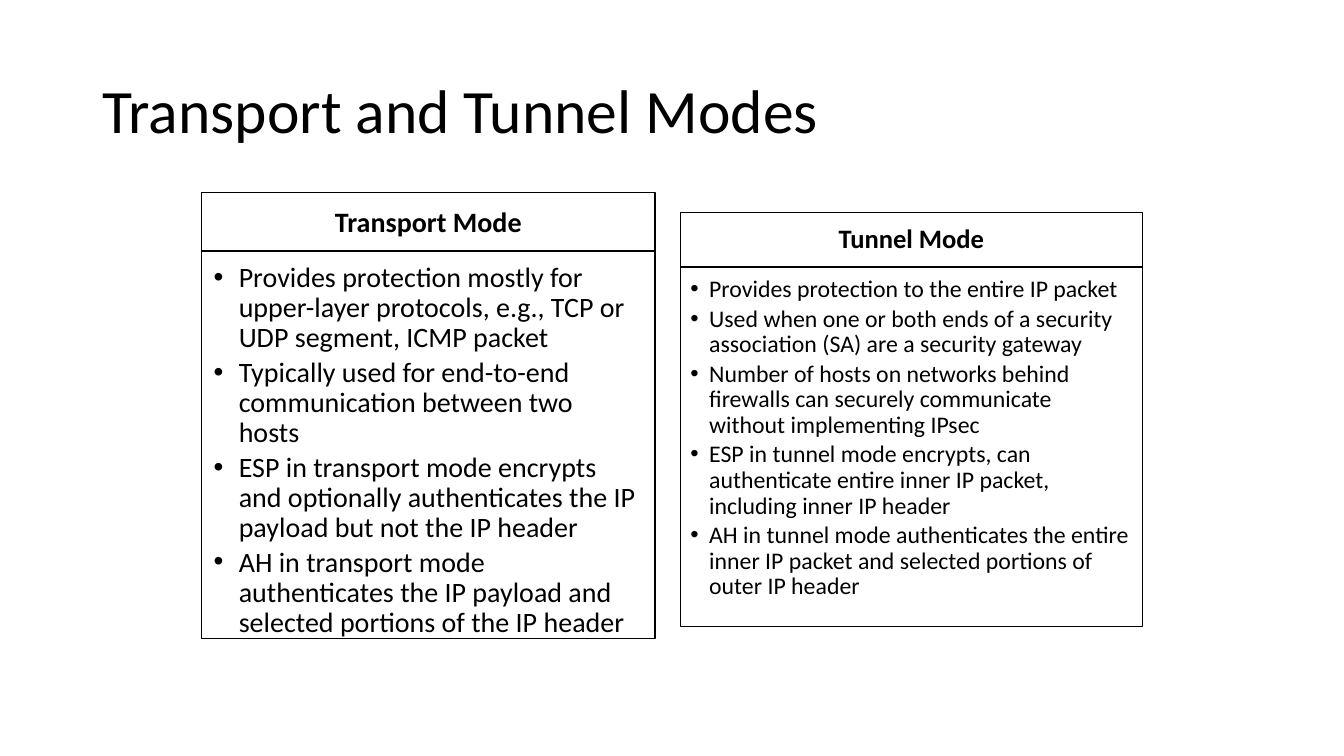
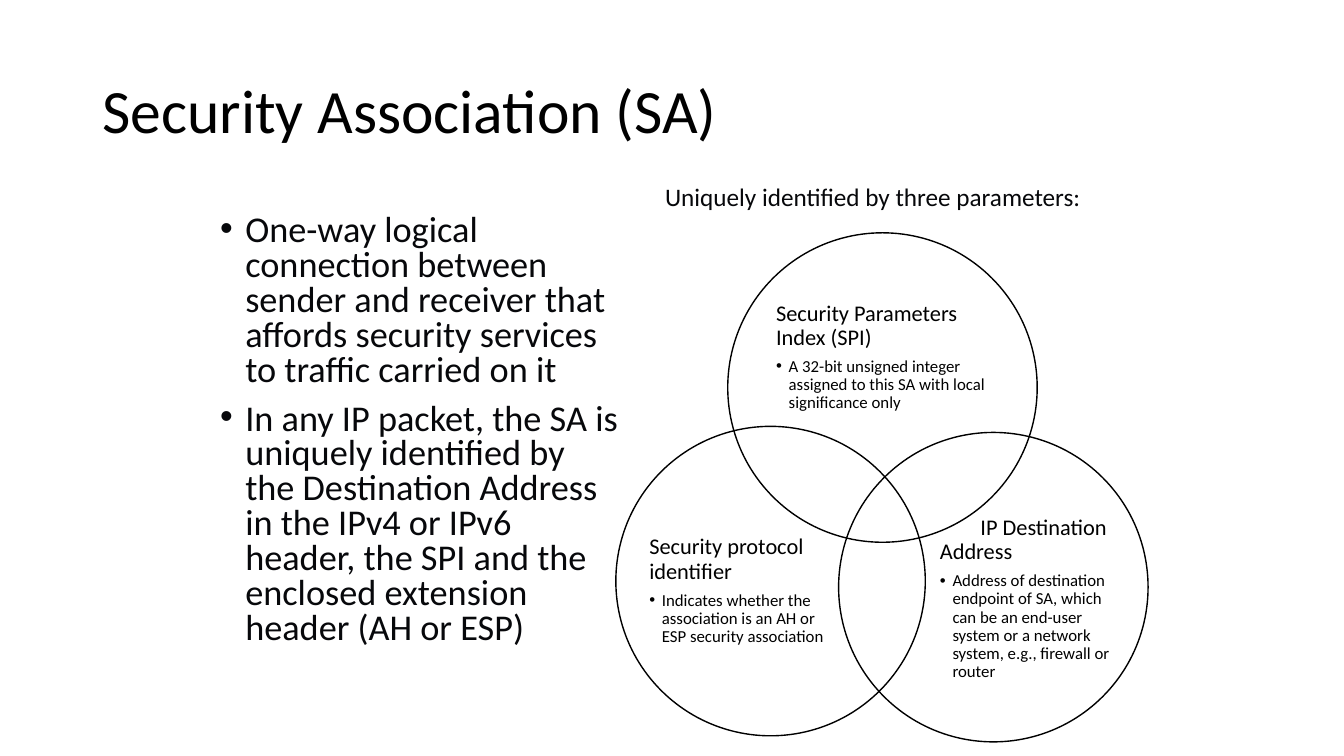
from dataclasses import dataclass
from typing import Optional

from lxml.etree import SubElement
from pptx import Presentation
from pptx.dml.color import RGBColor as Rgb
from pptx.enum.shapes import MSO_SHAPE as Form
from pptx.enum.text import MSO_ANCHOR as Anchor, MSO_AUTO_SIZE as Fit, PP_ALIGN as Align
from pptx.oxml.ns import qn
from pptx.util import Emu, Inches, Pt

COLS, ROWS = 160, 90
WIDE, HIGH = Inches(13.3333), Inches(7.5)


@dataclass(frozen=True)
class Theme:
    font: str = "Calibri"
    black: Rgb = Rgb(0, 0, 0)
    ink: Rgb = Rgb(0x07, 0x08, 0x0B)
    white: Rgb = Rgb(255, 255, 255)
    title: float = 44
    body: float = 25.9
    lead: float = 18
    term: float = 16
    note: float = 12
    rule: float = 1


@dataclass(frozen=True)
class Box:
    """A place on the grid, in columns and rows."""
    col: float
    row: float
    width: float
    height: float

    def emu(self) -> tuple[Emu, ...]:
        x, y = WIDE / COLS, HIGH / ROWS
        return (Emu(round(self.col * x)), Emu(round(self.row * y)),
                Emu(round(self.width * x)), Emu(round(self.height * y)))


@dataclass(frozen=True)
class Panel:
    """A headed list; sizes, insets and indent are in points."""
    name: str
    items: tuple[str, ...]
    head: Box
    list: Box
    name_size: float
    item_size: float
    head_pad: tuple[float, ...]
    list_pad: tuple[float, ...]
    indent: float


@dataclass(frozen=True)
class Ring:
    term: str
    note: str
    col: float
    row: float
    label: Box
    fill: Optional[Rgb] = None
    first: float = 0


THEME = Theme()
TITLE = Box(11, 4.8, 138, 17.4)
BODY = Box(25, 25, 49.8, 56.4)
LEAD = Box(78, 21, 60, 8.5)
RING = 36.84

PANELS = (
    Panel("Transport Mode", (
        "Provides protection mostly for upper-layer protocols, e.g., TCP or UDP segment, ICMP packet",
        "Typically used for end-to-end communication between two hosts",
        "ESP in transport mode encrypts and optionally authenticates the IP payload but not the IP header",
        "AH in transport mode authenticates the IP payload and selected portions of the IP header",
    ), Box(24, 22.9, 54, 7.5), Box(24, 29.9, 54, 46.1), 20, 20,
        (11.5, 6.5, 11.5, 6.5), (8.6, 8.6, 11.5, 12.2), 18),
    Panel("Tunnel Mode", (
        "Provides protection to the entire IP packet",
        "Used when one or both ends of a security association (SA) are a security gateway",
        "Number of hosts on networks behind firewalls can securely communicate without implementing IPsec",
        "ESP in tunnel mode encrypts, can authenticate entire inner IP packet, including inner IP header",
        "AH in tunnel mode authenticates the entire inner IP packet and selected portions of outer IP header",
    ), Box(81, 25.3, 55, 6.5), Box(81, 31.8, 55, 42.8), 19, 17,
        (10.8, 5.8, 10.8, 5.8), (7.2, 7.2, 9.4, 10.8), 13.5),
)

POINTS = (
    "One-way logical connection between sender and receiver that affords security services "
    "to traffic carried on it",
    "In any IP packet, the SA is uniquely identified by the Destination Address in the IPv4 "
    "or IPv6 header, the SPI and the enclosed extension header (AH or ESP)",
)

RINGS = (
    Ring("Security Parameters Index (SPI)",
         "A 32-bit unsigned integer assigned to this SA with local significance only",
         86.64, 27.72, Box(92.4, 34.2, 26.2, 16.6), fill=THEME.white),
    Ring("IP Destination Address",
         "Address of destination endpoint of SA, which can be an end-user system or a network "
         "system, e.g., firewall or router",
         99.84, 51.48, Box(111.9, 61.1, 21.3, 20.3), first=29),
    Ring("Security protocol identifier",
         "Indicates whether the association is an AH or ESP security association",
         73.32, 50.76, Box(77.3, 60.2, 21.6, 20.3)),
)


def place(shape, box: Box) -> None:
    shape.left, shape.top, shape.width, shape.height = box.emu()


def setup(frame, anchor=Anchor.TOP, pad: Optional[tuple[float, ...]] = None) -> None:
    """Set wrap, anchor and insets (left, top, right, bottom in points)."""
    frame.word_wrap = True
    frame.auto_size = Fit.NONE
    frame.vertical_anchor = anchor
    if pad:
        (frame.margin_left, frame.margin_top,
         frame.margin_right, frame.margin_bottom) = map(Pt, pad)


def say(frame, text: str, *, size: float, color: Rgb = THEME.black, bold: bool = False,
        align=Align.LEFT, lines: float = 0.9, before: float = 0, after: float = 0,
        first: float = 0, bullet: float = 0) -> None:
    """Add a paragraph; bullet is the hanging indent in points, 0 for none."""
    para = frame.paragraphs[0]
    if para.runs:
        para = frame.add_paragraph()
    para.alignment, para.line_spacing = align, lines
    para.space_before, para.space_after = Pt(before), Pt(after)
    run = para.add_run()
    run.text = text
    font = run.font
    font.name, font.size, font.bold = THEME.font, Pt(size), bold
    font.color.rgb = color
    props = para._p.get_or_add_pPr()
    props.set("marL", str(Pt(bullet)))
    props.set("indent", str(Pt(first - bullet)))
    if bullet:
        SubElement(props, qn("a:buFont"), typeface="Arial")
        SubElement(props, qn("a:buChar"), char="•")


def draw(slide, form, box: Box, fill: Optional[Rgb] = None):
    shape = slide.shapes.add_shape(form, *box.emu())
    shape.shadow.inherit = False
    if fill is None:
        shape.fill.background()
    else:
        shape.fill.solid()
        shape.fill.fore_color.rgb = fill
    shape.line.color.rgb = THEME.black
    shape.line.width = Pt(THEME.rule)
    return shape


def start(deck, layout: int, title: str):
    slide = deck.slides.add_slide(deck.slide_layouts[layout])
    place(slide.shapes.title, TITLE)
    frame = slide.shapes.title.text_frame
    setup(frame, Anchor.MIDDLE)
    say(frame, title, size=THEME.title)
    return slide


def add_panel(slide, panel: Panel) -> None:
    head = draw(slide, Form.RECTANGLE, panel.head, THEME.white).text_frame
    setup(head, Anchor.MIDDLE, panel.head_pad)
    say(head, panel.name, size=panel.name_size, bold=True, align=Align.CENTER)
    frame = draw(slide, Form.RECTANGLE, panel.list, THEME.white).text_frame
    setup(frame, pad=panel.list_pad)
    for item in panel.items:
        say(frame, item, size=panel.item_size, after=0.15 * panel.item_size,
            bullet=panel.indent)


def add_ring(slide, ring: Ring) -> None:
    draw(slide, Form.OVAL, Box(ring.col, ring.row, RING, RING), ring.fill)
    frame = slide.shapes.add_textbox(*ring.label.emu()).text_frame
    setup(frame, Anchor.MIDDLE, (0, 0, 0, 0))
    say(frame, ring.term, size=THEME.term, after=0.35 * THEME.term, first=ring.first)
    say(frame, ring.note, size=THEME.note, after=0.15 * THEME.note, bullet=9)


def add_modes(deck) -> None:
    slide = start(deck, 5, "Transport and Tunnel Modes")
    for panel in PANELS:
        add_panel(slide, panel)


def add_links(deck) -> None:
    slide = start(deck, 1, "Security Association (SA)")
    body = slide.placeholders[1]
    place(body, BODY)
    setup(body.text_frame)
    for point in POINTS:
        say(body.text_frame, point, size=THEME.body, color=THEME.ink, lines=0.8,
            before=10, bullet=18)
    for ring in RINGS:
        add_ring(slide, ring)
    lead = slide.shapes.add_textbox(*LEAD.emu()).text_frame
    setup(lead)
    say(lead, "Uniquely identified by three parameters:", size=THEME.lead,
        color=THEME.ink, lines=1.0)


def main() -> None:
    deck = Presentation()
    deck.slide_width, deck.slide_height = WIDE, HIGH
    add_modes(deck)
    add_links(deck)
    deck.save("out.pptx")


if __name__ == "__main__":
    main()
